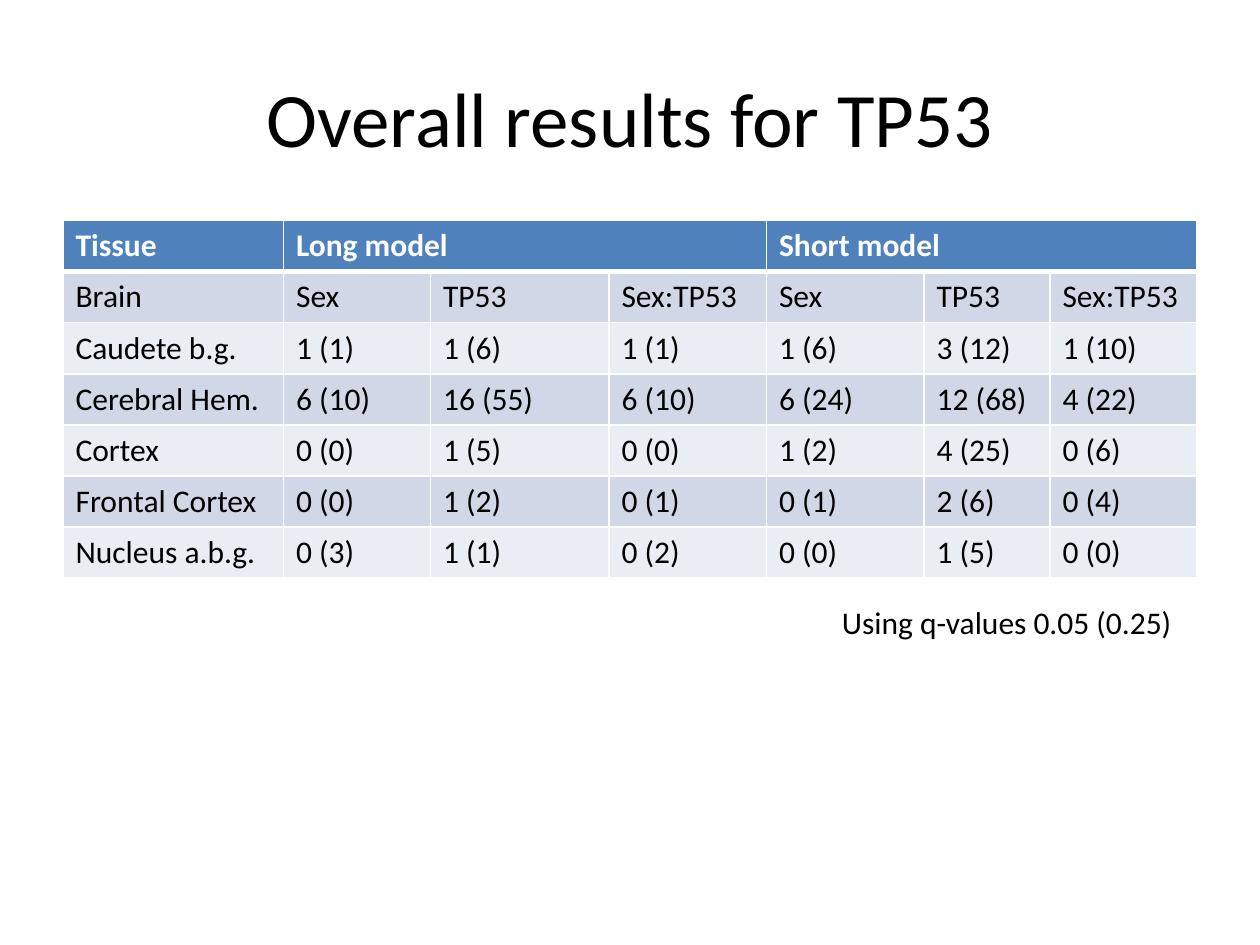
from dataclasses import dataclass

from lxml import etree
from pptx import Presentation
from pptx.dml.color import RGBColor
from pptx.enum.text import MSO_ANCHOR, PP_ALIGN
from pptx.oxml.ns import qn
from pptx.util import Pt

FONT = "Calibri"
BLACK, WHITE = "000000", "FFFFFF"
HEADER_FILL = "4F81BD"
BAND_FILLS = ("D0D8E8", "E9EDF4")

COLUMN_WIDTHS = (126, 84, 102, 90, 90, 72, 84)
ROW_HEIGHT = 29.2
HEADER = {0: "Tissue", 1: "Long model", 4: "Short model"}
MODEL_SPAN = 3
TERMS = ("Sex", "TP53", "Sex:TP53")
BODY = (
    ("Brain", *TERMS, *TERMS),
    ("Caudete b.g.", "1 (1)", "1 (6)", "1 (1)", "1 (6)", "3 (12)", "1 (10)"),
    ("Cerebral Hem.", "6 (10)", "16 (55)", "6 (10)", "6 (24)", "12 (68)", "4 (22)"),
    ("Cortex", "0 (0)", "1 (5)", "0 (0)", "1 (2)", "4 (25)", "0 (6)"),
    ("Frontal Cortex", "0 (0)", "1 (2)", "0 (1)", "0 (1)", "2 (6)", "0 (4)"),
    ("Nucleus a.b.g.", "0 (3)", "1 (1)", "0 (2)", "0 (0)", "1 (5)", "0 (0)"),
)


@dataclass(frozen=True)
class Label:
    text: str
    left: float
    top: float
    width: float
    height: float
    size: float
    align: PP_ALIGN
    anchor: MSO_ANCHOR
    wrap: bool


LABELS = (
    Label("Overall results for TP53", 36, 21.6, 648, 90, 44,
          PP_ALIGN.CENTER, MSO_ANCHOR.MIDDLE, True),
    Label("Using q-values 0.05 (0.25)", 474, 341.3, 205, 29, 18,
          PP_ALIGN.LEFT, MSO_ANCHOR.TOP, False),
)


def rgb(value: str) -> RGBColor:
    return RGBColor.from_string(value)


def write(frame, text: str, size: float, color: str, bold: bool = False) -> None:
    run = frame.paragraphs[0].add_run()
    run.text = text
    run.font.name = FONT
    run.font.size = Pt(size)
    run.font.bold = bold
    run.font.color.rgb = rgb(color)


def add_label(slide, label: Label) -> None:
    box = slide.shapes.add_textbox(
        Pt(label.left), Pt(label.top), Pt(label.width), Pt(label.height))
    frame = box.text_frame
    frame.word_wrap = label.wrap
    frame.vertical_anchor = label.anchor
    write(frame, label.text, label.size, BLACK)
    frame.paragraphs[0].alignment = label.align


def set_borders(cell, top: float, bottom: float) -> None:
    """Border lines come before the fill in the cell properties."""
    properties = cell._tc.get_or_add_tcPr()
    sides = (("L", 1), ("R", 1), ("T", top), ("B", bottom))
    for index, (side, width) in enumerate(sides):
        line = etree.Element(qn(f"a:ln{side}"), w=str(Pt(width)))
        fill = etree.SubElement(line, qn("a:solidFill"))
        etree.SubElement(fill, qn("a:srgbClr"), val=WHITE)
        properties.insert(index, line)


def style_cell(cell, fill: str, top: float, bottom: float) -> None:
    cell.fill.solid()
    cell.fill.fore_color.rgb = rgb(fill)
    set_borders(cell, top, bottom)


def add_results(slide) -> None:
    rows, columns = len(BODY) + 1, len(COLUMN_WIDTHS)
    table = slide.shapes.add_table(
        rows, columns, Pt(36), Pt(126),
        Pt(sum(COLUMN_WIDTHS)), Pt(ROW_HEIGHT * rows)).table
    for column, width in zip(table.columns, COLUMN_WIDTHS):
        column.width = Pt(width)
    for row in table.rows:
        row.height = Pt(ROW_HEIGHT)

    # Header row, with one merged cell per model
    for col in range(columns):
        style_cell(table.cell(0, col), HEADER_FILL, 1, 3)
    for col, text in HEADER.items():
        cell = table.cell(0, col)
        if col:
            cell.merge(table.cell(0, col + MODEL_SPAN - 1))
        write(cell.text_frame, text, 18, WHITE, True)

    # Banded body rows
    for index, values in enumerate(BODY):
        for col, text in enumerate(values):
            cell = table.cell(index + 1, col)
            style_cell(cell, BAND_FILLS[index % 2], 1 if index else 3, 1)
            write(cell.text_frame, text, 18, BLACK)


def main() -> None:
    deck = Presentation()
    deck.slide_width, deck.slide_height = Pt(720), Pt(540)
    slide = deck.slides.add_slide(deck.slide_layouts[6])
    add_results(slide)
    for label in LABELS:
        add_label(slide, label)
    deck.save("out.pptx")


main()
